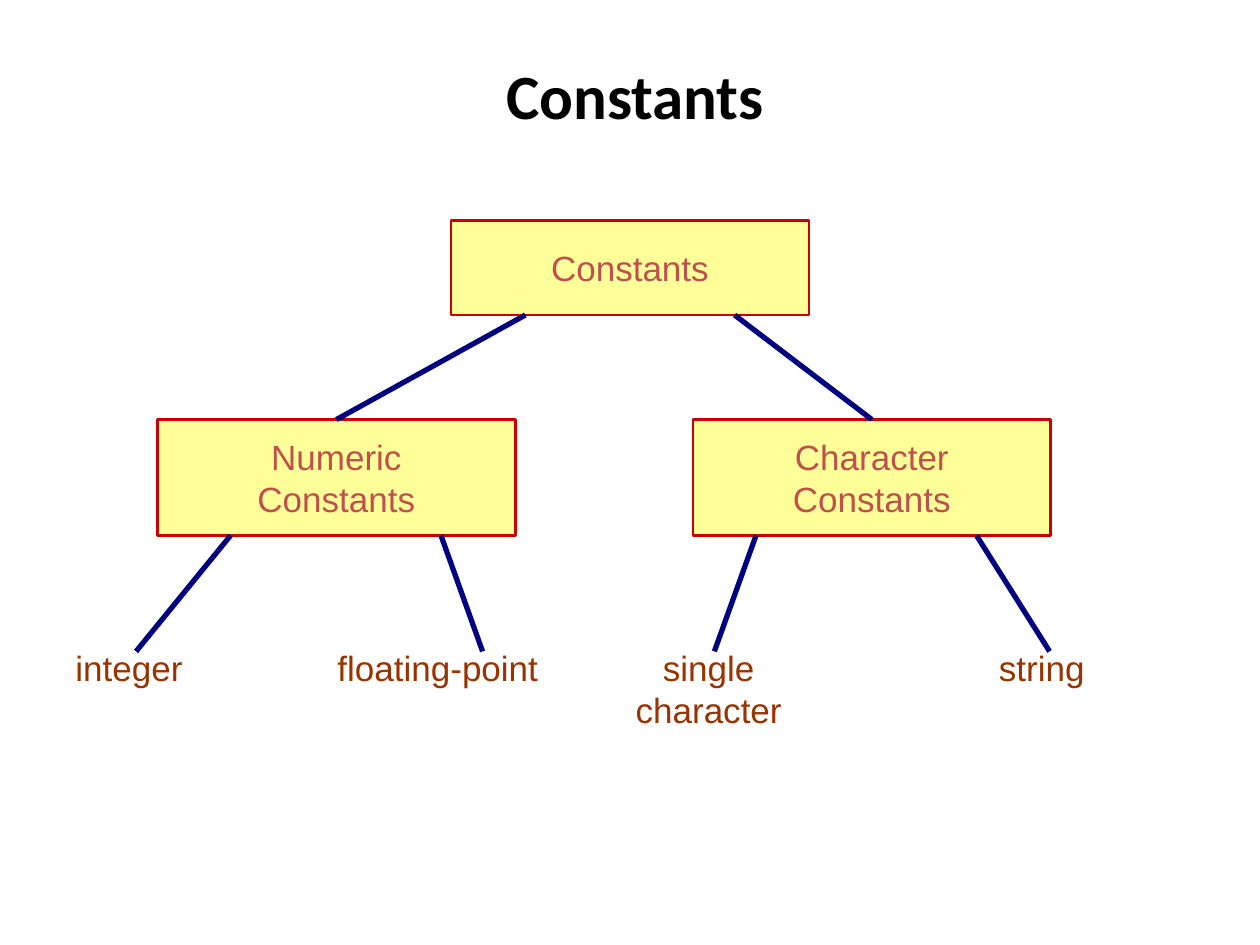
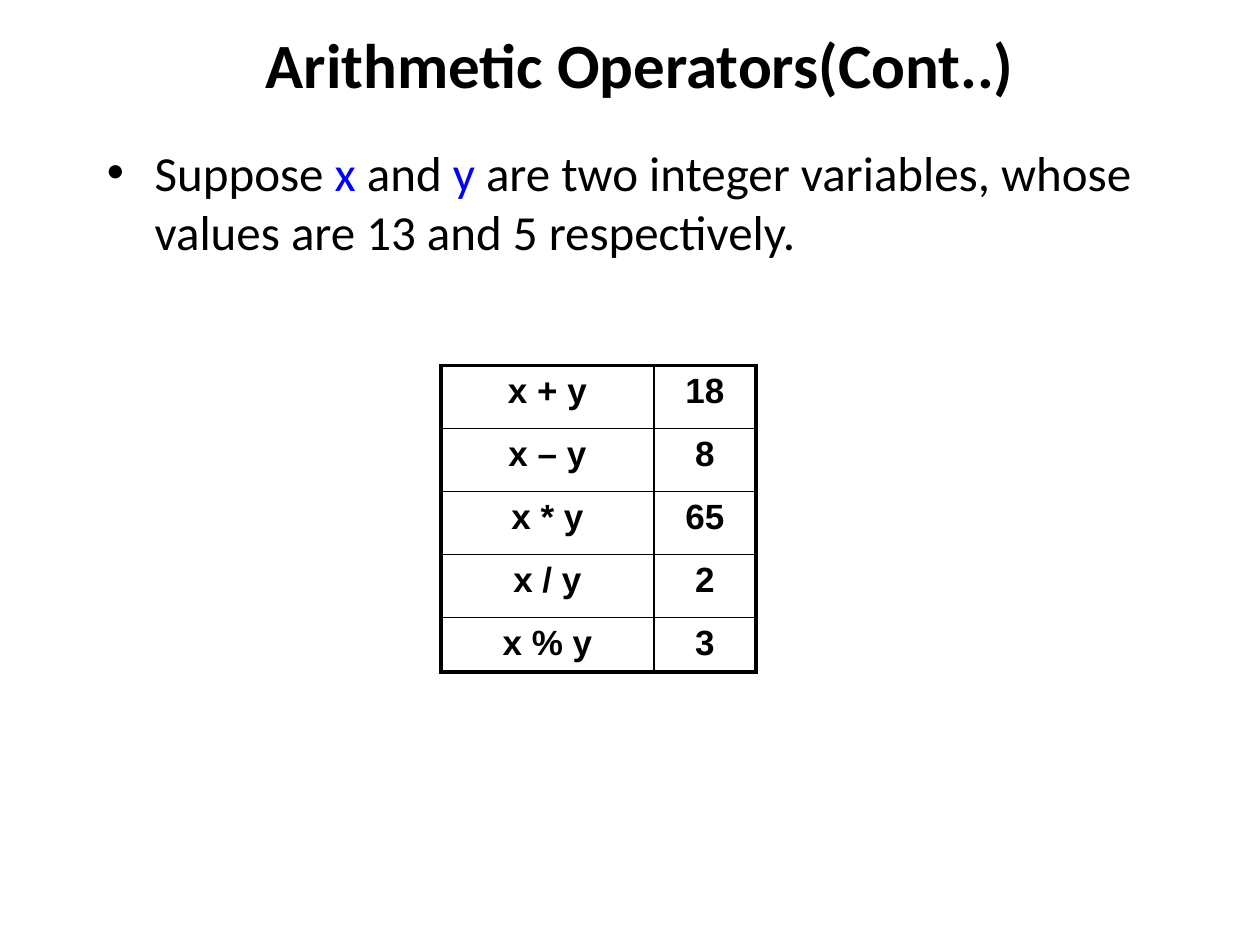
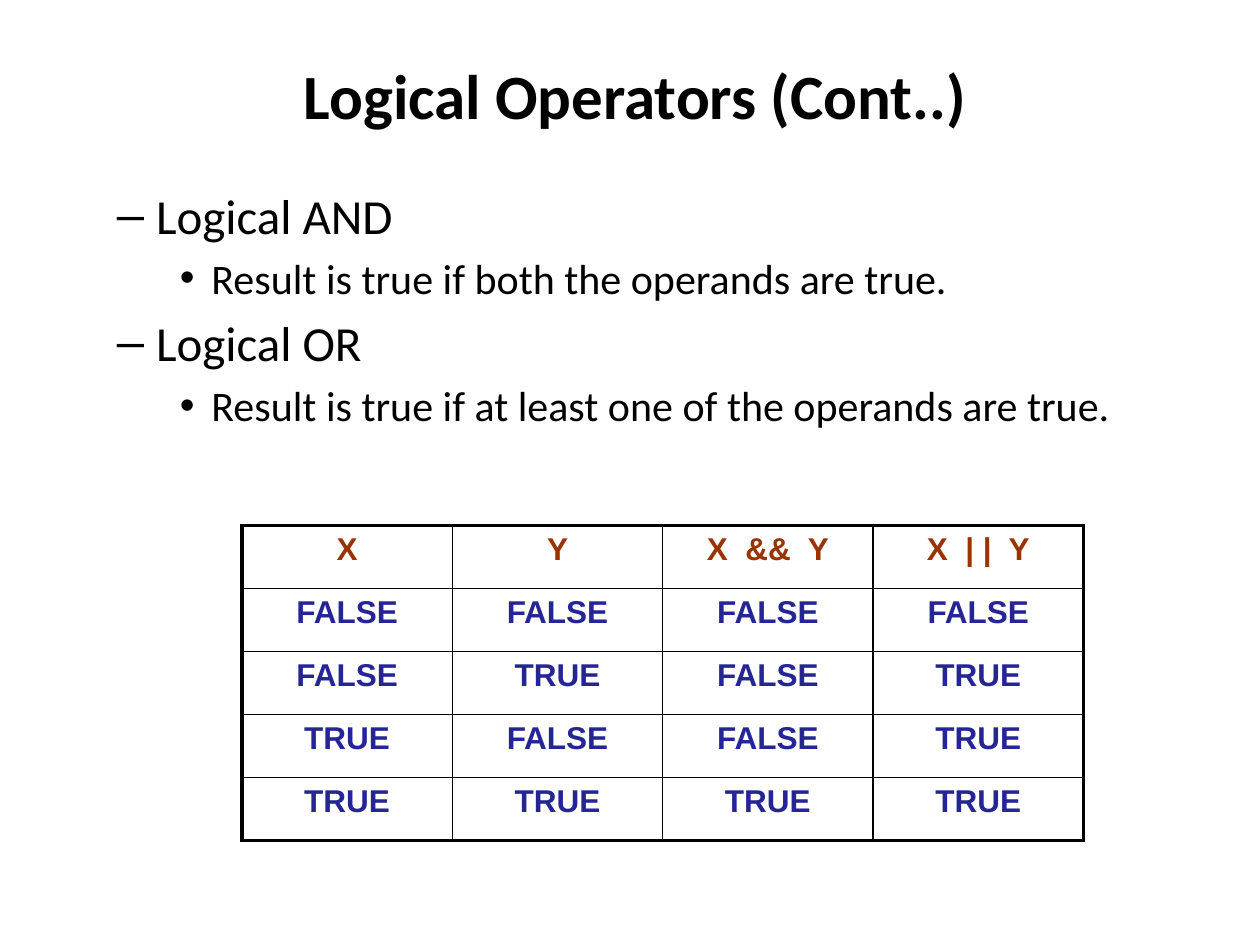
from dataclasses import dataclass

from lxml import etree
from pptx import Presentation
from pptx import util as u
from pptx.dml.color import RGBColor
from pptx.enum import shapes, text
from pptx.oxml import ns
from pptx.shapes.autoshape import Shape
from pptx.slide import Slide
from pptx.table import _Cell
from pptx.text.text import TextFrame, _Paragraph

CENTER = text.PP_ALIGN.CENTER
LEFT = text.PP_ALIGN.LEFT
TOP_SIDE = 0


@dataclass(frozen=True)
class Style:
    font: str
    size: float
    color: str
    bold: bool = False


@dataclass(frozen=True)
class Theme:
    background: str = "FFFFFF"
    box_fill: str = "FFFF99"
    box_line: str = "CC0000"
    branch: str = "000080"
    border: str = "000000"
    variable: str = "0000FF"
    box_line_width: float = 1.5
    branch_width: float = 3
    outer_border: float = 2.25
    inner_border: float = 1
    space_before: float = 0.2  # share of the type size
    title: Style = Style("Calibri", 36, "000000", True)
    body: Style = Style("Calibri", 28, "000000")
    detail: Style = Style("Calibri", 24, "000000")
    box: Style = Style("Arial", 20, "C0504D")
    leaf: Style = Style("Arial", 20, "993300")
    result: Style = Style("Arial", 20, "000000", True)
    truth_head: Style = Style("Arial", 18, "993300", True)
    truth_value: Style = Style("Arial", 18, "252595", True)


THEME = Theme()


@dataclass(frozen=True)
class Area:
    left: float
    top: float
    width: float
    height: float

    def emu(self) -> list[int]:
        return [u.Inches(n) for n in (self.left, self.top, self.width, self.height)]


@dataclass(frozen=True)
class Leaf:
    words: tuple[str, ...]
    area: Area
    align: text.PP_ALIGN = LEFT


@dataclass(frozen=True)
class Branch:
    start: tuple[float, float]
    end: tuple[float, float]
    child: str = ""  # box whose top middle the branch starts from


@dataclass(frozen=True)
class Bullet:
    mark: str
    indent: float
    hanging: float
    style: Style


POINT = Bullet("•", 0.38, 0.38, THEME.body)
DASH = Bullet("–", 0.81, 0.31, THEME.body)
SUB_POINT = Bullet("•", 1.25, 0.25, THEME.detail)

TITLE_AREA = Area(0.33, 0.33, 9.42, 0.83)

BOXES = {
    "Constants": Area(3.58, 1.75, 2.84, 0.75),
    "Numeric\nConstants": Area(1.25, 3.33, 2.84, 0.92),
    "Character\nConstants": Area(5.5, 3.33, 2.84, 0.92),
}
LEAVES = [
    Leaf(("string",), Area(7.83, 5.08, 1.25, 0.43)),
    Leaf(("single", "character"), Area(4.75, 5.08, 1.75, 0.77), CENTER),
    Leaf(("floating-point",), Area(2.58, 5.08, 2.25, 0.43)),
    Leaf(("integer",), Area(0.5, 5.08, 1.75, 0.43)),
]
BRANCHES = [
    Branch((2.67, 3.33), (4.17, 2.5), "Numeric\nConstants"),
    Branch((6.92, 3.33), (5.83, 2.5), "Character\nConstants"),
    Branch((1.83, 4.25), (1.08, 5.17)),
    Branch((3.5, 4.25), (3.83, 5.17)),
    Branch((6, 4.25), (5.67, 5.17)),
    Branch((7.75, 4.25), (8.33, 5.17)),
]
RESULTS = [("x + y", "18"), ("x – y", "8"), ("x * y", "65"), ("x / y", "2"), ("x % y", "3")]
TRUTH = [
    ("X", "Y", "X  &&  Y", "X  | |  Y"),
    ("FALSE", "FALSE", "FALSE", "FALSE"),
    ("FALSE", "TRUE", "FALSE", "TRUE"),
    ("TRUE", "FALSE", "FALSE", "TRUE"),
    ("TRUE", "TRUE", "TRUE", "TRUE"),
]


def rgb(color: str) -> RGBColor:
    return RGBColor.from_string(color)


def apply_style(paragraph: _Paragraph, style: Style, align: text.PP_ALIGN = LEFT) -> None:
    paragraph.alignment = align
    font = paragraph.font
    font.name, font.size, font.bold = style.font, u.Pt(style.size), style.bold
    font.color.rgb = rgb(style.color)


def write_lines(frame: TextFrame, lines: tuple[str, ...], style: Style, align: text.PP_ALIGN) -> None:
    frame.text = "\n".join(lines)
    for paragraph in frame.paragraphs:
        apply_style(paragraph, style, align)


def add_text_area(slide: Slide, area: Area) -> TextFrame:
    frame = slide.shapes.add_textbox(*area.emu()).text_frame
    frame.word_wrap = True
    return frame


def add_slide(deck: Presentation, title: str, title_area: Area = TITLE_AREA) -> Slide:
    slide = deck.slides.add_slide(deck.slide_layouts[6])
    slide.background.fill.solid()
    slide.background.fill.fore_color.rgb = rgb(THEME.background)
    frame = add_text_area(slide, title_area)
    frame.vertical_anchor = text.MSO_ANCHOR.MIDDLE
    write_lines(frame, (title,), THEME.title, CENTER)
    return slide


def add_box(slide: Slide, words: str, area: Area) -> Shape:
    box = slide.shapes.add_shape(shapes.MSO_SHAPE.RECTANGLE, *area.emu())
    box.shadow.inherit = False
    box.fill.solid()
    box.fill.fore_color.rgb = rgb(THEME.box_fill)
    box.line.color.rgb = rgb(THEME.box_line)
    box.line.width = u.Pt(THEME.box_line_width)
    box.text_frame.word_wrap = False
    box.text_frame.vertical_anchor = text.MSO_ANCHOR.MIDDLE
    write_lines(box.text_frame, tuple(words.split("\n")), THEME.box, CENTER)
    return box


def add_branch(slide: Slide, branch: Branch, boxes: dict[str, Shape]) -> None:
    ends = [u.Inches(n) for n in branch.start + branch.end]
    line = slide.shapes.add_connector(shapes.MSO_CONNECTOR.STRAIGHT, *ends)
    line.line.color.rgb = rgb(THEME.branch)
    line.line.width = u.Pt(THEME.branch_width)
    etree.SubElement(line._element.spPr, ns.qn("a:effectLst"))
    if branch.child:
        line.begin_connect(boxes[branch.child], TOP_SIDE)


def format_bullet(paragraph: _Paragraph, bullet: Bullet) -> None:
    apply_style(paragraph, bullet.style)
    paragraph.space_before = u.Pt(bullet.style.size * THEME.space_before)
    properties = paragraph._p.get_or_add_pPr()
    properties.set("marL", str(u.Inches(bullet.indent)))
    properties.set("indent", str(-u.Inches(bullet.hanging)))
    mark = etree.Element(ns.qn("a:buChar"), char=bullet.mark)
    font = etree.Element(ns.qn("a:buFont"), typeface="Arial")
    properties.find(ns.qn("a:spcBef")).addnext(font)
    font.addnext(mark)


def set_borders(cell: _Cell, outer: dict[str, bool]) -> None:
    """Give the cell four borders, thick where the side is on the table's edge."""
    properties = cell._tc.get_or_add_tcPr()
    for position, (side, on_edge) in enumerate(outer.items()):
        width = u.Pt(THEME.outer_border if on_edge else THEME.inner_border)
        border = etree.Element(ns.qn(f"a:ln{side}"), w=str(width))
        fill = etree.SubElement(border, ns.qn("a:solidFill"))
        etree.SubElement(fill, ns.qn("a:srgbClr"), val=THEME.border)
        properties.insert(position, border)


def add_grid(slide: Slide, left: float, top: float, widths: list[float], heights: list[float],
             rows: list[tuple[str, ...]], head: Style, body: Style) -> None:
    area = Area(left, top, sum(widths), sum(heights))
    table = slide.shapes.add_table(len(rows), len(widths), *area.emu()).table
    table.first_row = table.horz_banding = False
    for column, width in zip(table.columns, widths):
        column.width = u.Inches(width)
    for r, (height, values) in enumerate(zip(heights, rows)):
        table.rows[r].height = u.Inches(height)
        for c, value in enumerate(values):
            cell = table.cell(r, c)
            cell.fill.background()
            write_lines(cell.text_frame, (value,), body if r else head, CENTER)
            set_borders(cell, {"L": c == 0, "R": c == len(widths) - 1,
                               "T": r == 0, "B": r == len(rows) - 1})


def build_constants(deck: Presentation) -> None:
    slide = add_slide(deck, "Constants")
    boxes = {words: add_box(slide, words, area) for words, area in BOXES.items()}
    for leaf in LEAVES:
        write_lines(add_text_area(slide, leaf.area), leaf.words, THEME.leaf, leaf.align)
    for branch in BRANCHES:
        add_branch(slide, branch, boxes)


def build_arithmetic(deck: Presentation) -> None:
    slide = add_slide(deck, "Arithmetic Operators(Cont..)", Area(0.83, 0, 8.5, 1))
    paragraph = add_text_area(slide, Area(0.75, 1.08, 8.5, 5.75)).paragraphs[0]
    format_bullet(paragraph, POINT)
    for words in ("Suppose ", "x", " and ", "y",
                  " are two integer variables, whose values are 13 and 5 respectively."):
        run = paragraph.add_run()
        run.text = words
        if words in ("x", "y"):
            run.font.color.rgb = rgb(THEME.variable)
    add_grid(slide, 3.5, 2.9, [1.69, 0.81], [0.5] * 4 + [0.42], RESULTS, THEME.result, THEME.result)


def build_logical(deck: Presentation) -> None:
    slide = add_slide(deck, "Logical Operators (Cont..)")
    lines = [
        ("Logical AND", DASH),
        ("Result is true if both the operands are true.", SUB_POINT),
        ("Logical OR", DASH),
        ("Result is true if at least one of the operands are true.", SUB_POINT),
    ]
    frame = add_text_area(slide, Area(0.33, 1.42, 9.42, 5.5))
    frame.text = "\n".join(words for words, _ in lines)
    for paragraph, (_, bullet) in zip(frame.paragraphs, lines):
        format_bullet(paragraph, bullet)
    add_grid(slide, 1.92, 4.17, [1.67] * 4, [0.5] * 5, TRUTH, THEME.truth_head, THEME.truth_value)


def main() -> None:
    deck = Presentation()
    deck.slide_width, deck.slide_height = u.Inches(10), u.Inches(7.5)
    build_constants(deck)
    build_arithmetic(deck)
    build_logical(deck)
    deck.save("out.pptx")


if __name__ == "__main__":
    main()
